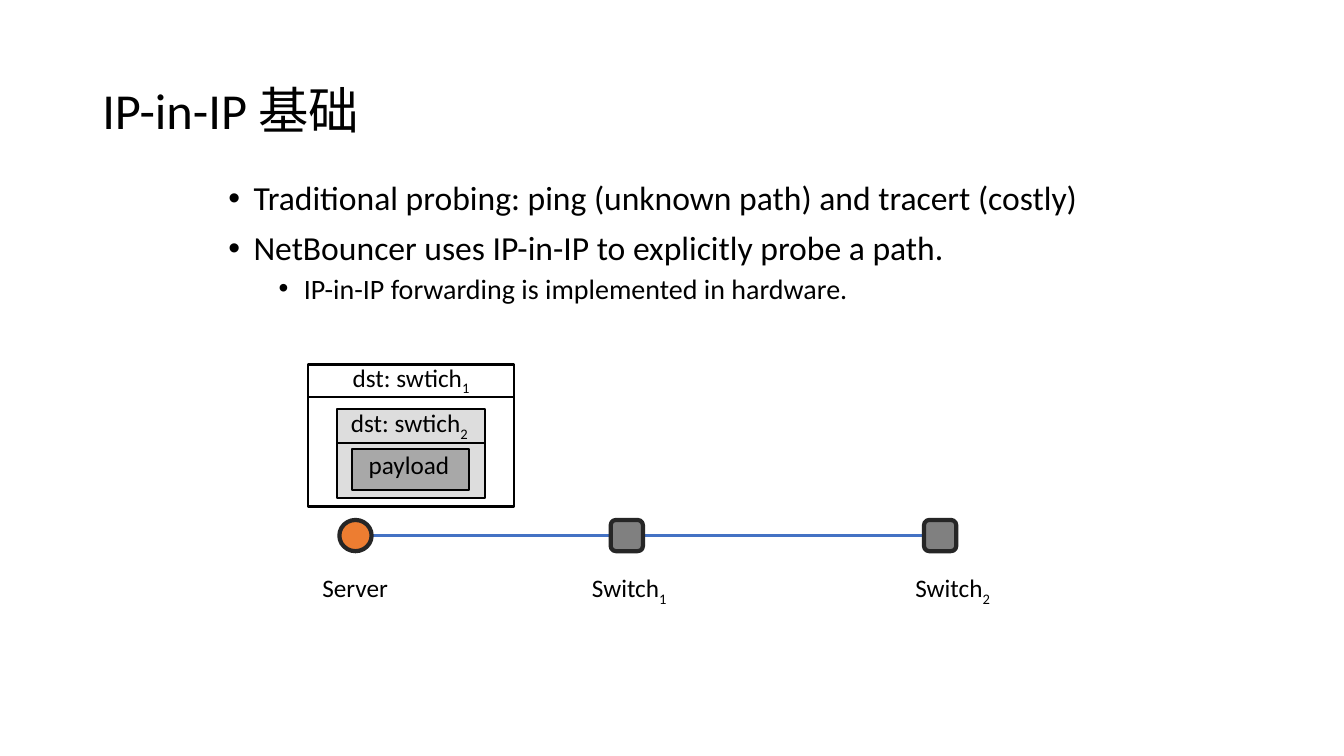
from collections import namedtuple
from dataclasses import dataclass

from lxml import etree
from pptx import Presentation
from pptx import util as u
from pptx.dml.color import RGBColor
from pptx.enum import shapes, text
from pptx.oxml.ns import qn

COLUMNS, ROWS = 160, 90
SLIDE_WIDTH, SLIDE_HEIGHT = u.Inches(13.333), u.Inches(7.5)

# Lengths are grid columns and rows.
Box = namedtuple("Box", "left top width height")


@dataclass(frozen=True)
class Theme:
    font: str = "Calibri"
    ink: str = "000000"
    link: str = "4472C4"
    server: str = "ED7D31"
    switch: str = "808080"
    node_line: str = "262626"
    inner_packet: str = "BFBFBF"
    payload: str = "808080"
    title_size: int = 36
    bullet_sizes: tuple = (24, 20)
    label_size: int = 18
    packet_line: float = 1.5
    link_line: float = 2
    node_outline: float = 3


THEME = Theme()


def across(columns):
    return int(SLIDE_WIDTH * columns / COLUMNS)


def down(rows):
    return int(SLIDE_HEIGHT * rows / ROWS)


def place(box):
    return across(box.left), down(box.top), across(box.width), down(box.height)


def inside(box, left, top, width, height):
    """Box given by its offset from the corner of another box."""
    return Box(box.left + left, box.top + top, width, height)


def style(font, size):
    font.name = THEME.font
    font.size = u.Pt(size)
    font.color.rgb = RGBColor.from_string(THEME.ink)


def add_label(slide, box, words, subscript="", line_spacing=None):
    frame = slide.shapes.add_textbox(*place(box)).text_frame
    frame.word_wrap = False
    frame.auto_size = text.MSO_AUTO_SIZE.SHAPE_TO_FIT_TEXT
    paragraph = frame.paragraphs[0]
    paragraph.line_spacing = line_spacing
    for part in filter(None, (words, subscript)):
        run = paragraph.add_run()
        run.text = part
        style(run.font, THEME.label_size)
    if subscript:
        run.font._element.set("baseline", "-25000")


def add_line(slide, start, end, color, width):
    (x1, y1), (x2, y2) = start, end
    line = slide.shapes.add_connector(
        shapes.MSO_CONNECTOR.STRAIGHT, across(x1), down(y1), across(x2), down(y2))
    line.line.color.rgb = RGBColor.from_string(color)
    line.line.width = u.Pt(width)
    etree.SubElement(line._element.spPr, qn("a:effectLst"))


def add_block(slide, kind, box, fill, line, width, opacity=100):
    shape = slide.shapes.add_shape(kind, *place(box))
    shape.shadow.inherit = False
    shape.line.color.rgb = RGBColor.from_string(line)
    shape.line.width = u.Pt(width)
    if fill is None:
        shape.fill.background()
        return
    shape.fill.solid()
    shape.fill.fore_color.rgb = RGBColor.from_string(fill)
    if opacity < 100:
        color = shape._element.spPr.find(qn("a:solidFill"))[0]
        etree.SubElement(color, qn("a:alpha"), val=str(opacity * 1000))


def add_title(slide, box, words):
    frame = slide.shapes.add_textbox(*place(box)).text_frame
    frame.word_wrap = True
    frame.vertical_anchor = text.MSO_ANCHOR.MIDDLE
    paragraph = frame.paragraphs[0]
    paragraph.text = words
    paragraph.line_spacing = 0.9
    style(paragraph.runs[0].font, THEME.title_size)


def add_bullets(slide, box, items):
    frame = slide.shapes.add_textbox(*place(box)).text_frame
    frame.word_wrap = True
    for index, (level, words) in enumerate(items):
        paragraph = frame.add_paragraph() if index else frame.paragraphs[0]
        paragraph.text = words
        paragraph.level = level
        paragraph.line_spacing = 0.9
        if index:
            paragraph.space_before = u.Pt(5 if level else 10)
        properties = paragraph._p.get_or_add_pPr()
        properties.set("marL", str(u.Inches(0.25 + 0.5 * level)))
        properties.set("indent", str(-u.Inches(0.25)))
        etree.SubElement(properties, qn("a:buFont"), typeface="Arial")
        etree.SubElement(properties, qn("a:buChar"), char="•")
        style(paragraph.runs[0].font, THEME.bullet_sizes[level])


def add_network_path(slide, box):
    """Server and switches joined by links, each with a name below."""
    oval = shapes.MSO_SHAPE.FLOWCHART_CONNECTOR
    square = shapes.MSO_SHAPE.ROUNDED_RECTANGLE
    size = Box(0, 0, 3.84, 3.72)
    nodes = [  # offset, kind, fill, name, subscript, label shift, label width
        (0, oval, THEME.server, "Server", "", -3.2, 10.7),
        (32.3, square, THEME.switch, "Switch", "1", -3.4, 11.8),
        (69.6, square, THEME.switch, "Switch", "2", -2.2, 12),
    ]
    middle = box.top + size.height / 2
    for near, far in zip(nodes, nodes[1:]):
        add_line(slide, (box.left + near[0] + size.width, middle),
                 (box.left + far[0], middle), THEME.link, THEME.link_line)
    for offset, kind, fill, name, subscript, shift, width in nodes:
        add_block(slide, kind, inside(box, offset, 0, size.width, size.height),
                  fill, THEME.node_line, THEME.node_outline)
        add_label(slide, inside(box, offset + shift, 5.7, width, 4.8), name, subscript)


def add_packet(slide, box):
    """Nested packets: outer header, inner header and payload."""
    layers = [  # box, fill, opacity, label, subscript, label box, header height
        (box, None, 100, "dst: swtich", "1", (4.1, 0.5, 16.9, 3.4), 3.84),
        (inside(box, 3.4, 5.3, 17.7, 10.6), THEME.inner_packet, 52,
         "dst: swtich", "2", (0.5, 0.6, 17.2, 3.4), 4),
        (inside(box, 5.2, 10.1, 13.9, 4.8), THEME.payload, 56,
         "payload", "", (0.8, 1, 12.6, 3.4), 0),
    ]
    for layer, fill, opacity, words, subscript, label, header in layers:
        add_block(slide, shapes.MSO_SHAPE.RECTANGLE, layer, fill,
                  THEME.ink, THEME.packet_line, opacity)
        add_label(slide, inside(layer, *label), words, subscript, 0.5)
        if header:
            y = layer.top + header
            add_line(slide, (layer.left, y), (layer.left + layer.width, y),
                     THEME.ink, THEME.packet_line)


def main():
    presentation = Presentation()
    presentation.slide_width, presentation.slide_height = SLIDE_WIDTH, SLIDE_HEIGHT
    slide = presentation.slides.add_slide(presentation.slide_layouts[6])
    add_title(slide, Box(11, 4.8, 138, 17.4), "IP-in-IP 基础")
    add_bullets(slide, Box(26, 21, 114, 19.2), [
        (0, "Traditional probing: ping (unknown path) and tracert (costly)"),
        (0, "NetBouncer uses IP-in-IP to explicitly probe a path."),
        (1, "IP-in-IP forwarding is implemented in hardware."),
    ])
    add_network_path(slide, Box(40.4, 61.9, 73.5, 10.5))
    add_packet(slide, Box(36.7, 43.4, 24.5, 16.9))
    presentation.save("out.pptx")


if __name__ == "__main__":
    main()
